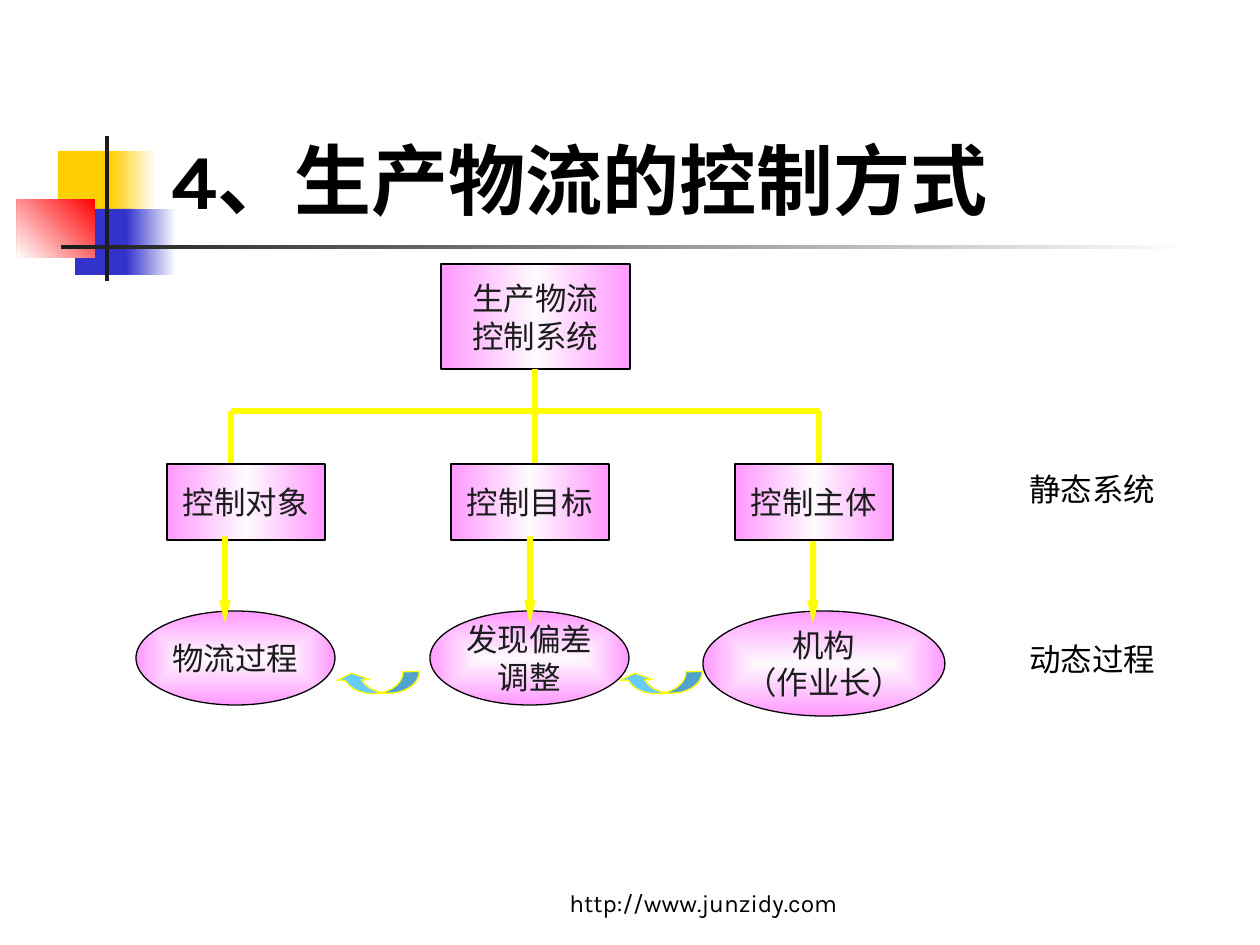
from lxml.etree import SubElement
from pptx import Presentation
from pptx.dml.color import RGBColor
from pptx.enum.shapes import MSO_CONNECTOR, MSO_SHAPE
from pptx.enum.text import MSO_ANCHOR, MSO_AUTO_SIZE, PP_ALIGN
from pptx.oxml.ns import qn
from pptx.util import Pt

PX = 914400 // 126
C = {"white": "FFFFFF", "black": "000000", "ink": "1C1C1C", "gold": "FFCF01",
     "blue": "3333CC", "red": "FF0000", "pink": "FF99FF", "pale": "FEFAFE",
     "yellow": "FFFF00", "sky": "66CCFF"}
BANDS = [(0, "pink"), (50, "pale"), (100, "pink")]
GLOW = [(0, "pale"), (100, "pink")]


def add_shape(kind, box, fill, angle=180, line=None):
    """Fill is a colour name or a list of gradient stops; angle None glows from the centre."""
    sp = s.shapes.add_shape(kind, *[v * PX for v in box])
    sp.shadow.inherit = False
    sp.fill.solid()
    if isinstance(fill, str):
        sp.fill.fore_color.rgb = RGBColor.from_string(C[fill])
    else:
        solid = sp._element.spPr.find(qn("a:solidFill"))
        grad = solid.makeelement(qn("a:gradFill"), {"rotWithShape": "1"})
        solid.getparent().replace(solid, grad)
        stops = SubElement(grad, qn("a:gsLst"))
        for pos, name in fill:
            gs = SubElement(stops, qn("a:gs"), pos=str(pos * 1000))
            SubElement(gs, qn("a:srgbClr"), val=C[name])
        if angle is None:
            path = SubElement(grad, qn("a:path"), path="rect")
            SubElement(path, qn("a:fillToRect"), l="50000", t="50000", r="50000", b="50000")
        else:
            SubElement(grad, qn("a:lin"), ang=str(angle * 60000), scaled="0")
    if line:
        sp.line.color.rgb = RGBColor.from_string(C[line])
        sp.line.width = Pt(0.75)
    else:
        sp.line.fill.background()
    return sp


def set_text(sp, lines, size=18, color="ink", font="Times New Roman",
             align=PP_ALIGN.CENTER, anchor=MSO_ANCHOR.MIDDLE, wrap=False):
    tf = sp.text_frame
    tf.auto_size = MSO_AUTO_SIZE.NONE
    tf.word_wrap = wrap
    tf.vertical_anchor = anchor
    tf.text = lines
    for p in tf.paragraphs:
        p.alignment = align
        p.font.size = Pt(size)
        p.font.name = font
        p.font.color.rgb = RGBColor.from_string(C[color])


prs = Presentation()
prs.slide_width, prs.slide_height = 1260 * PX, 945 * PX
s = prs.slides.add_slide(prs.slide_layouts[5])

# Title
title = s.shapes.title
title.left, title.top, title.width, title.height = [v * PX for v in (159, 29, 1073, 202)]
set_text(title, "4、生产物流的控制方式", 44, "black", "Karla",
         PP_ALIGN.LEFT, MSO_ANCHOR.BOTTOM, True)
title.text_frame.paragraphs[0].font.bold = True

# Corner ornament and title rule
for box, fill, angle in [
    ((58, 151, 60, 66), "gold", 180),
    ((111, 151, 45, 66), [(0, "white"), (100, "gold")], 180),
    ((75, 209, 58, 66), "blue", 180),
    ((126, 209, 50, 66), [(0, "white"), (100, "blue")], 180),
    ((17, 199, 78, 59), [(0, "red"), (100, "white")], 135),
    ((105, 136, 4, 145), "ink", 180),
    ((61, 245, 1134, 4), [(0, "white"), (100, "ink")], 180),
]:
    add_shape(MSO_SHAPE.RECTANGLE, box, fill, angle)

# Process ellipses
for box, lines in [((136, 611, 199, 94), "物流过程"),
                   ((430, 611, 199, 94), "发现偏差\n调整"),
                   ((703, 611, 242, 105), "机构\n（作业长）")]:
    set_text(add_shape(MSO_SHAPE.OVAL, box, GLOW, None, "black"), lines)

# Root box
root = add_shape(MSO_SHAPE.RECTANGLE, (441, 264, 189, 105), BANDS, line="black")
set_text(root, "生产物流\n控制系统")

# Tree lines
for x1, y1, x2, y2 in [(231, 411, 819, 411), (231, 411, 231, 474),
                       (535, 369, 535, 474), (819, 411, 819, 474)]:
    ln = s.shapes.add_connector(MSO_CONNECTOR.STRAIGHT, x1 * PX, y1 * PX, x2 * PX, y2 * PX)
    ln.line.color.rgb = RGBColor.from_string(C["yellow"])
    ln.line.width = Pt(3)
    SubElement(ln._element.spPr, qn("a:effectLst"))

# Curved arrows between the ellipses
for x in (650, 367):
    arrow = add_shape(MSO_SHAPE.CURVED_LEFT_ARROW, (x, 641, 21, 84), "sky", line="yellow")
    arrow.rotation = 88.5
    for i, value in enumerate((0.78, 1.56, 0.33)):
        arrow.adjustments[i] = value

# Control boxes; the right-hand arrow lies behind its box
for i, (name, x) in enumerate([("控制主体", 808), ("控制目标", 525), ("控制对象", 220)]):
    box = (735 - 284 * i, 464, 158, 76)
    down = (x, 537, 10, 84)
    parts = [(MSO_SHAPE.DOWN_ARROW, down, "yellow", "yellow"),
             (MSO_SHAPE.RECTANGLE, box, BANDS, "black")]
    for kind, at, fill, line in parts if i == 0 else parts[::-1]:
        sp = add_shape(kind, at, fill, line=line)
        if kind == MSO_SHAPE.RECTANGLE:
            set_text(sp, name)
        else:
            sp.adjustments[0], sp.adjustments[1] = 0.5, 2

# Row labels and web address
for text, box, size, font, anchor in [
    ("静态系统", (1008, 464, 168, 50), 18, "Times New Roman", MSO_ANCHOR.TOP),
    ("动态过程", (1008, 634, 168, 50), 18, "Times New Roman", MSO_ANCHOR.TOP),
    ("http://www.junzidy.com", (504, 861, 399, 63), 14, "Karla", MSO_ANCHOR.BOTTOM),
]:
    tb = s.shapes.add_textbox(*[v * PX for v in box])
    set_text(tb, text, size, "black", font, anchor=anchor, wrap=True)

prs.save("out.pptx")
